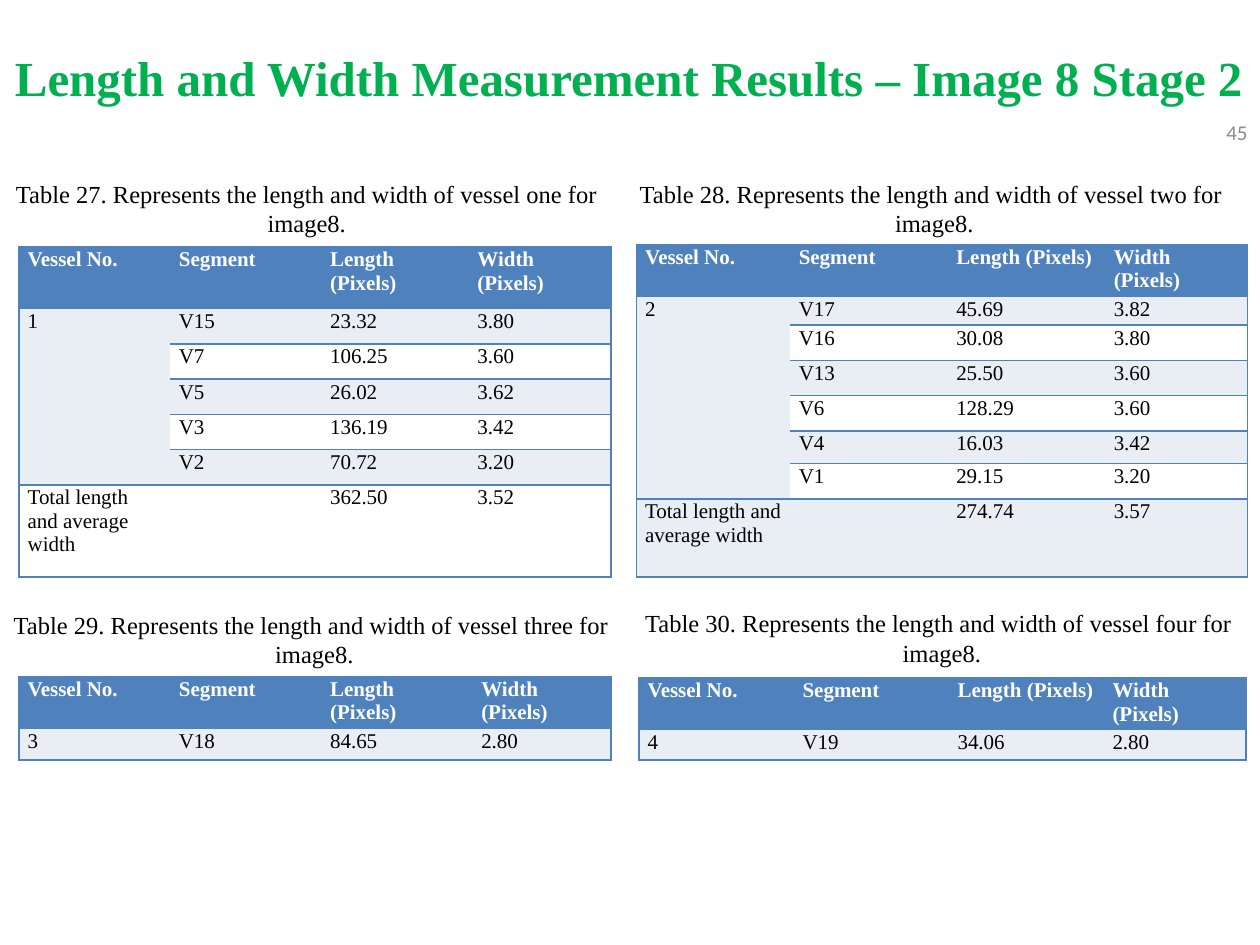
"""Build the vessel length and width results slide with four captioned tables."""
import lxml.etree
import pptx
import pptx.dml.color
import pptx.enum.text
import pptx.oxml.ns
import pptx.util

COLORS = {"title": "00B050", "page": "8C8C8C", "text": "000000", "header": "4F81BD",
          "header_text": "FFFFFF", "band": "E9EDF4", "plain": "FFFFFF"}
SERIF = "Times New Roman"
ALIGN = pptx.enum.text.PP_ALIGN
NO_STYLE = "{2D5ABB26-0587-4C30-8999-92F81FD0307C}"
HEADER = ("Vessel No.", "Segment", "Length (Pixels)", "Width (Pixels)")
TOTAL = "Total length and average width"

deck = pptx.Presentation()
deck.slide_width = pptx.util.Inches(10)
deck.slide_height = pptx.util.Inches(7.5)
slide = deck.slides.add_slide(deck.slide_layouts[6])
COLUMN = deck.slide_width / 100
ROW = deck.slide_height / 75


def style_font(paragraph, size, color, name=SERIF, bold=False):
    font = paragraph.font
    font.size = pptx.util.Pt(size)
    font.name = name
    font.bold = bold
    font.color.rgb = pptx.dml.color.RGBColor.from_string(COLORS[color])


def add_text(place, lines, align, size, color, name=SERIF, bold=False):
    left, top, width, height = place
    box = slide.shapes.add_textbox(int(left * COLUMN), int(top * ROW),
                                   int(width * COLUMN), int(height * ROW))
    frame = box.text_frame
    frame.word_wrap = True
    frame.text = "\n".join(lines)
    for paragraph in frame.paragraphs:
        paragraph.alignment = align
        style_font(paragraph, size, color, name, bold)
    return frame


page_number = add_text((76.7, 8.5, 23.3, 4), ["45"], ALIGN.RIGHT, 12, "page", "Calibri")
page_number.vertical_anchor = pptx.enum.text.MSO_ANCHOR.MIDDLE
add_text((0.2, 3.3, 99.8, 5.7), ["Length and Width Measurement Results – Image 8 Stage 2"],
         ALIGN.JUSTIFY, 28, "title", bold=True)

vessels = [
    {"number": 27, "vessel": "one", "caption": (0.2, 13.7, 48.3, 5.7), "corner": (1.5, 19.6),
     "columns": (12, 12, 11.7, 11.3), "rows": (4.9, *[2.8] * 5, 7.3),
     "body": [("1", "V15", "23.32", "3.80"), ("", "V7", "106.25", "3.60"),
              ("", "V5", "26.02", "3.62"), ("", "V3", "136.19", "3.42"),
              ("", "V2", "70.72", "3.20"), (TOTAL, "", "362.50", "3.52")]},
    {"number": 28, "vessel": "two", "caption": (44.7, 13.7, 58.9, 5.7), "corner": (50.5, 19.4),
     "columns": (12.2, 12.5, 12.5, 11.3), "rows": (4.1, 2.3, 2.8, 2.8, 2.8, 2.6, 2.8, 6.2),
     "body": [("2", "V17", "45.69", "3.82"), ("", "V16", "30.08", "3.80"),
              ("", "V13", "25.50", "3.60"), ("", "V6", "128.29", "3.60"),
              ("", "V4", "16.03", "3.42"), ("", "V1", "29.15", "3.20"),
              (TOTAL, "", "274.74", "3.57")]},
    {"number": 29, "vessel": "three", "caption": (-4.5, 47.9, 58.9, 5.7), "corner": (1.5, 53.7),
     "columns": (12, 12, 12, 11), "rows": (4.1, 2.5),
     "body": [("3", "V18", "84.65", "2.80")]},
    {"number": 30, "vessel": "four", "caption": (45.3, 47.8, 58.9, 5.7), "corner": (50.7, 53.8),
     "columns": (12.3, 12.3, 12.3, 11.3), "rows": (4.1, 2.4),
     "body": [("4", "V19", "34.06", "2.80")]},
]

for item in vessels:
    caption = f"Table {item['number']}. Represents the length and width of vessel {item['vessel']} for "
    frame = add_text(item["caption"], [caption, "image8."], ALIGN.CENTER, 14, "text")
    frame.auto_size = pptx.enum.text.MSO_AUTO_SIZE.SHAPE_TO_FIT_TEXT

    left, top = item["corner"]
    widths, heights = item["columns"], item["rows"]
    table = slide.shapes.add_table(len(heights), len(widths), int(left * COLUMN), int(top * ROW),
                                   int(sum(widths) * COLUMN), int(sum(heights) * ROW)).table
    table.horz_banding = False
    table._tbl.tblPr.find(pptx.oxml.ns.qn("a:tableStyleId")).text = NO_STYLE
    for column, width in zip(table.columns, widths):
        column.width = int(width * COLUMN)
    for row, height in zip(table.rows, heights):
        row.height = int(height * ROW)

    for row_index, values in enumerate([HEADER, *item["body"]]):
        is_header = row_index == 0
        fill = "header" if is_header else "band" if row_index % 2 else "plain"
        for column_index, value in enumerate(values):
            cell = table.cell(row_index, column_index)
            cell.text = value
            cell.margin_left = cell.margin_right = pptx.util.Inches(0.07)
            cell.margin_top = pptx.util.Inches(0.01)
            cell.margin_bottom = 0
            style_font(cell.text_frame.paragraphs[0], 12,
                       "header_text" if is_header else "text", bold=is_header)
            sides = {"lnL": column_index == 0, "lnR": column_index == len(values) - 1,
                     "lnT": True, "lnB": True}
            properties = cell._tc.get_or_add_tcPr()
            for side in (name for name, drawn in sides.items() if drawn):
                line = lxml.etree.SubElement(properties, pptx.oxml.ns.qn(f"a:{side}"),
                                             w=str(pptx.util.Pt(1)))
                solid = lxml.etree.SubElement(line, pptx.oxml.ns.qn("a:solidFill"))
                lxml.etree.SubElement(solid, pptx.oxml.ns.qn("a:srgbClr"), val=COLORS["header"])
            cell.fill.solid()
            cell.fill.fore_color.rgb = pptx.dml.color.RGBColor.from_string(COLORS[fill])

    segment_count = sum(bool(values[1]) for values in item["body"])
    if segment_count > 1:
        table.cell(1, 0).merge(table.cell(segment_count, 0))

deck.save("out.pptx")
